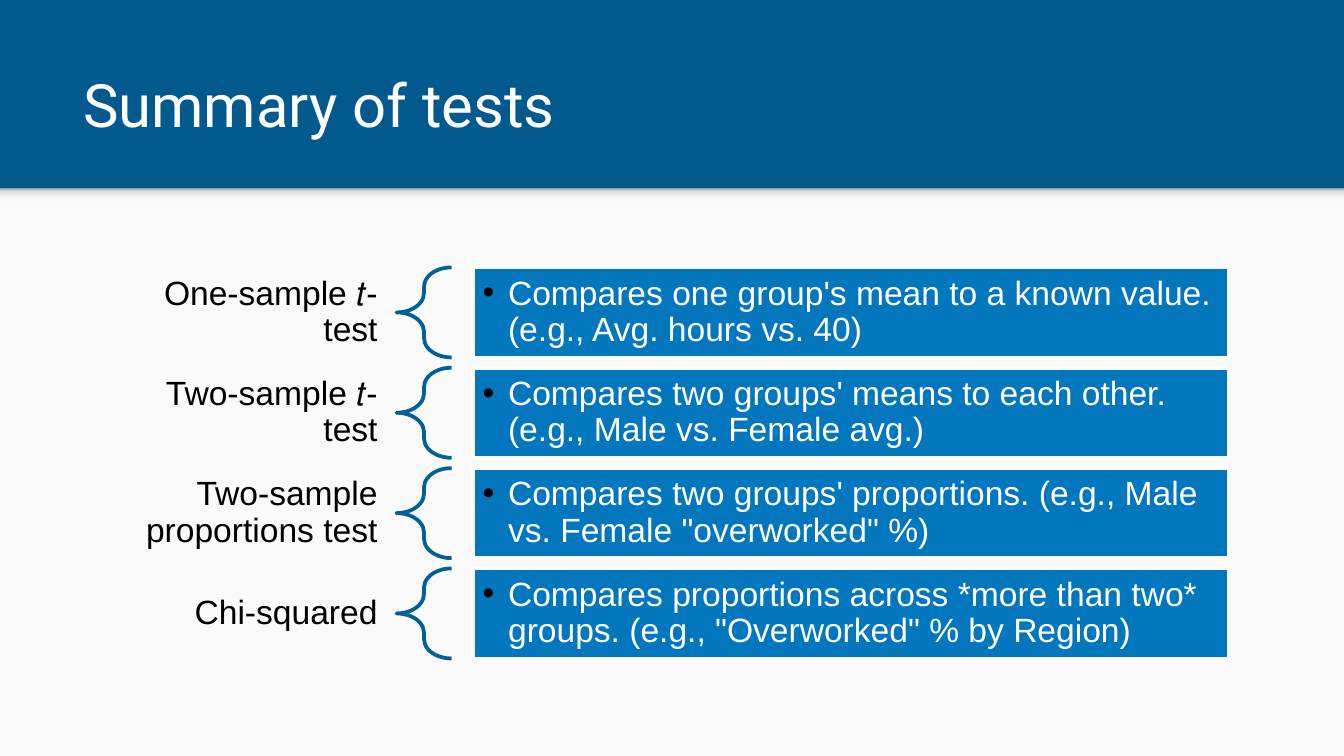
from pptx import Presentation
from pptx.dml.color import RGBColor
from pptx.enum.shapes import MSO_SHAPE
from pptx.enum.text import MSO_ANCHOR, PP_ALIGN
from pptx.oxml import parse_xml
from pptx.oxml.ns import nsdecls
from pptx.util import Inches, Pt


def rgb(color):
    return RGBColor.from_string(color)


def set_text(sp, text, font, size, color, anchor, inset_x, inset_y):
    tf = sp.text_frame
    tf.word_wrap = True
    tf.vertical_anchor = anchor
    tf.margin_left = tf.margin_right = Inches(inset_x)
    tf.margin_top = tf.margin_bottom = Inches(inset_y)
    tf.text = text
    p = tf.paragraphs[0]
    f = p.runs[0].font
    f.name, f.size = font, Pt(size)
    f.color.rgb = rgb(color)
    return p


# 16:9 slide
prs = Presentation()
prs.slide_width = Inches(10)
prs.slide_height = Inches(10 * 9 / 16)
s = prs.slides.add_slide(prs.slide_layouts[6])
s.background.fill.solid()
s.background.fill.fore_color.rgb = rgb("01598D")

# Light body panel
panel = s.shapes.add_shape(MSO_SHAPE.RECTANGLE, Inches(0), Inches(1.4), Inches(10), Inches(4.23))
panel.shadow.inherit = False
panel.fill.solid()
panel.fill.fore_color.rgb = rgb("FAFAFA")
panel.line.fill.background()

# Soft shade below the title band, darkest at the top
shade = s.shapes.add_shape(MSO_SHAPE.RECTANGLE, Inches(0), Inches(1.4), Inches(10), Inches(0.12))
shade.shadow.inherit = False
shade.line.fill.background()
shade.fill.gradient()
shade.fill.gradient_angle = 90
gs_list = shade.element.spPr.find(".//{*}gsLst")
for gs in list(gs_list):
    gs_list.remove(gs)
for pos, color in [(0, "F9F9F9"), (36, "F9F9F9"), (80, "DEDEDE"), (100, "999999")]:
    gs_list.append(parse_xml(
        f'<a:gs {nsdecls("a")} pos="{pos * 1000}"><a:srgbClr val="{color}"/></a:gs>'))

# Title
title = s.shapes.add_textbox(Inches(0.52), Inches(0.3), Inches(8.99), Inches(0.84))
set_text(title, "Summary of tests", "Roboto", 32, "FFFFFF", MSO_ANCHOR.BOTTOM, 0.1, 0.1)

# One row per test: label, brace, description
tests = [
    ("One-sample 𝑡-test", 0.63,
     "Compares one group's mean to a known value. (e.g., Avg. hours vs. 40)"),
    ("Two-sample 𝑡-test", 0.63,
     "Compares two groups' means to each other. (e.g., Male vs. Female avg.)"),
    ("Two-sample proportions test", 0.63,
     "Compares two groups' proportions. (e.g., Male vs. Female \"overworked\" %)"),
    ("Chi-squared", 0.39,
     "Compares proportions across *more than two* groups. (e.g., \"Overworked\" % by Region)"),
]
top, last_top, height = 1.99, 4.23, 0.67
pitch = (last_top - top) / (len(tests) - 1)
for i, (name, label_height, description) in enumerate(tests):
    y = top + i * pitch

    label = s.shapes.add_textbox(Inches(0.88), Inches(y + (height - label_height) / 2),
                                 Inches(2.07), Inches(label_height))
    p = set_text(label, name, "Arial", 18, "000000", MSO_ANCHOR.MIDDLE, 0.14, 0.05)
    p.alignment = PP_ALIGN.RIGHT
    p.line_spacing = 0.9

    brace = s.shapes.add_shape(MSO_SHAPE.LEFT_BRACE, Inches(2.95), Inches(y),
                               Inches(0.41), Inches(height))
    brace.shadow.inherit = False
    brace.adjustments[0] = 0.35
    brace.fill.background()
    brace.line.color.rgb = rgb("025F97")
    brace.line.width = Pt(2)

    box = s.shapes.add_shape(MSO_SHAPE.RECTANGLE, Inches(3.52), Inches(y),
                             Inches(5.62), Inches(height))
    box.shadow.inherit = False
    box.fill.solid()
    box.fill.fore_color.rgb = rgb("0277BD")
    box.line.color.rgb = rgb("FFFFFF")
    box.line.width = Pt(2)
    p = set_text(box, description, "Arial", 18, "FFFFFF", MSO_ANCHOR.MIDDLE, 0.07, 0.07)
    p.alignment = PP_ALIGN.LEFT
    p.line_spacing = 0.9

    # Black bullet with a hanging indent
    pPr = p._p.get_or_add_pPr()
    pPr.set("lvl", "1")
    pPr.set("marL", str(Inches(0.19)))
    pPr.set("indent", str(-Inches(0.19)))
    for bullet in ('<a:buClr {}><a:srgbClr val="000000"/></a:buClr>',
                   '<a:buFont {} typeface="Arial"/>',
                   '<a:buChar {} char="•"/>'):
        pPr.append(parse_xml(bullet.format(nsdecls("a"))))

prs.save("out.pptx")
